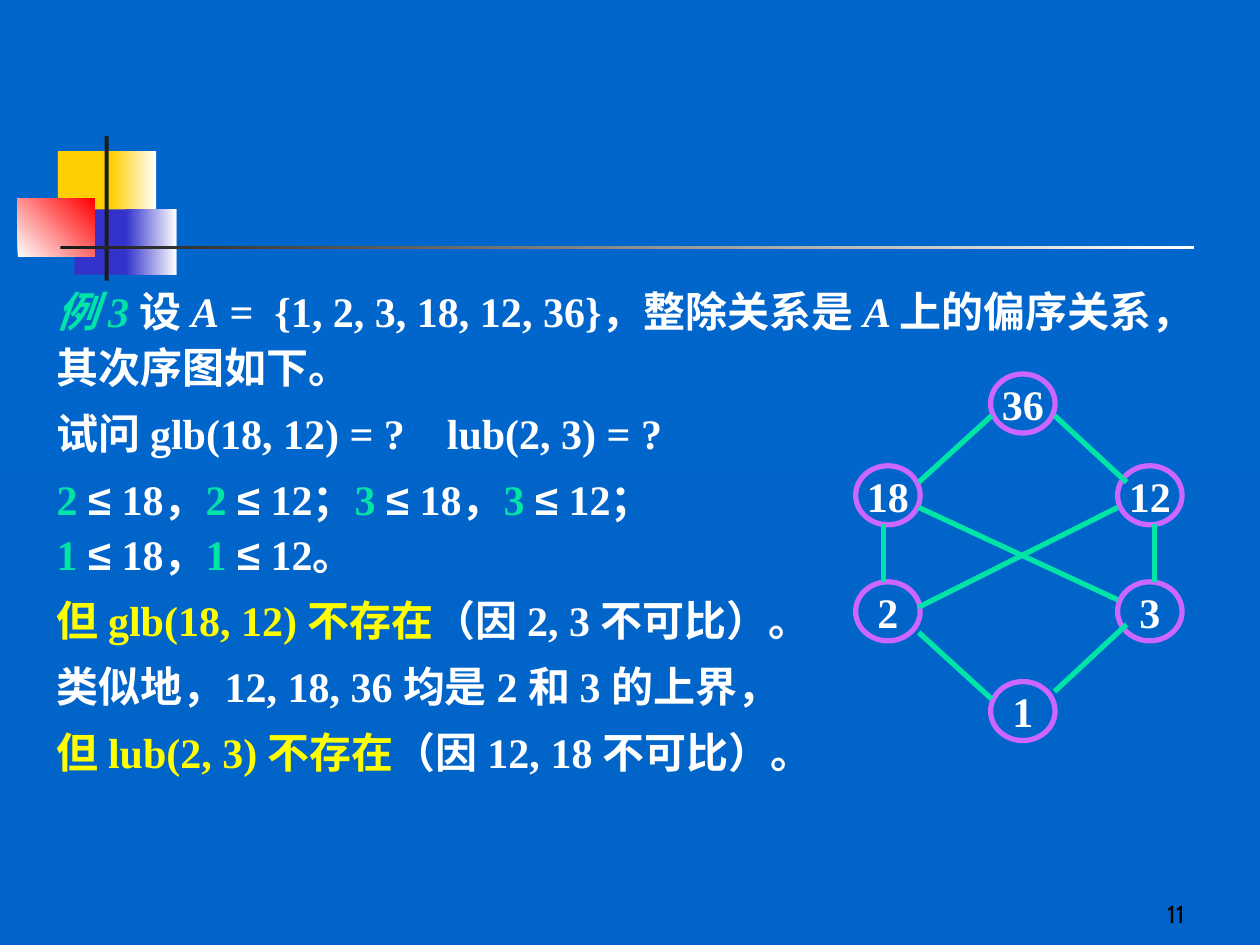
from lxml import etree
from pptx import Presentation, util as u
from pptx.dml import color as dml
from pptx.enum import shapes, text
from pptx.oxml import ns

COLORS = {
    "sky": "0066CC", "deep": "0064C9", "yellow": "FFCF01", "blue": "3333CC",
    "red": "FF0000", "ink": "1C1C1C", "white": "FFFFFF", "black": "000000",
    "green": "00E4A8", "violet": "CC66FF", "bright": "FFFF00",
}
SERIF = {"name": "Times New Roman", "size": u.Pt(24), "bold": True}
STYLES = {
    "label": {"color": "green", "italic": True},
    "plain": {"color": "white"},
    "variable": {"color": "white", "italic": True},
    "bound": {"color": "green"},
    "sign": {"color": "white", "name": "Arial"},
    "result": {"color": "bright"},
}


def compare(bound, value, mark):
    """Return the spans of one inequality."""
    return [(f"{bound} ", "bound"), ("≤", "sign"), (f" {value}{mark}", "plain")]


PARAGRAPHS = [
    [("例 3 ", "label"), ("设 ", "plain"), ("A", "variable"),
     (" =  {1, 2, 3, 18, 12, 36}，整除关系是 ", "plain"), ("A ", "variable"),
     ("上的偏序关系，其次序图如下。", "plain")],
    [("试问 glb(18, 12) = ?\tlub(2, 3) = ?", "plain")],
    [*compare(2, 18, "，"), *compare(2, 12, "；"), *compare(3, 18, "，"),
     *compare(3, 12, "；\v"), *compare(1, 18, "，"), *compare(1, 12, "。")],
    [("但 glb(18, 12) 不存在", "result"), ("（因 2, 3 不可比）。", "plain")],
    [("类似地，12, 18, 36 均是 2 和 3 的上界，", "plain")],
    [("但 lub(2, 3) 不存在", "result"), ("（因 12, 18 不可比）。", "plain")],
]


def rgb(name):
    """Return a named colour."""
    return dml.RGBColor.from_string(COLORS[name])


def apply(target, values):
    """Set each attribute of the target."""
    for key, value in values.items():
        setattr(target, key, value)


def add_span(para, words, values):
    """Add one formatted run, with line breaks at vertical tabs."""
    for index, part in enumerate(words.split("\v")):
        if index:
            para.add_line_break()
        if part:
            span = para.add_run()
            span.text = part
            fonts = {**SERIF, **values}
            span.font.color.rgb = rgb(fonts.pop("color"))
            apply(span.font, fonts)


def paint(fill, names, angle=0):
    """Fill with one colour, or with a gradient between two."""
    if len(names) == 1:
        fill.solid()
        fill.fore_color.rgb = rgb(names[0])
        return
    fill.gradient()
    fill.gradient_angle = angle
    for stop, name, position in zip(fill.gradient_stops, names, (0, 1)):
        stop.color.rgb = rgb(name)
        stop.position = position


def add_ornament(page, left, top):
    """Draw the coloured squares and the crossing rules."""
    blocks = [
        (0.81, 0.31, 1.22, 1.32, ["yellow"], 0),
        (1.88, 0.31, 0.91, 1.32, ["yellow", "white"], 0),
        (1.14, 1.48, 1.17, 1.32, ["blue"], 0),
        (2.18, 1.48, 1.02, 1.32, ["blue", "white"], 0),
        (0, 1.27, 1.55, 1.17, ["white", "red"], 45),
        (1.75, 0, 0.08, 2.92, ["ink"], 0),
        (0.86, 2.21, 22.86, 0.08, ["ink", "white"], 0),
    ]
    for x, y, width, height, names, angle in blocks:
        block = page.shapes.add_shape(
            shapes.MSO_SHAPE.RECTANGLE, u.Cm(left + x), u.Cm(top + y),
            u.Cm(width), u.Cm(height))
        block.shadow.inherit = False
        block.line.fill.background()
        paint(block.fill, names, angle)


def add_example(page, left, top, width, height):
    """Write the worked example."""
    box = page.shapes.add_textbox(*map(u.Cm, (left, top, width, height)))
    frame = box.text_frame
    frame.word_wrap = True
    for index, spans in enumerate(PARAGRAPHS):
        para = frame.paragraphs[0] if index == 0 else frame.add_paragraph()
        apply(para, {"line_spacing": 1.1, "space_before": u.Pt(6 if index else 0)})
        if any("\t" in words for words, style in spans):
            stops = etree.SubElement(para._p.get_or_add_pPr(), ns.qn("a:tabLst"))
            etree.SubElement(stops, ns.qn("a:tab"), pos=str(u.Cm(7.87)), algn="l")
        for words, style in spans:
            add_span(para, words, STYLES[style])


def add_order_diagram(page, left, top):
    """Draw the Hasse diagram of the divisibility order."""
    middle, right = 2.72, 5.28
    nodes = {"36": (middle, 0), "18": (0, 1.85), "12": (right, 1.85),
             "2": (0, 4.19), "3": (right, 4.19), "1": (middle, 6.2)}
    edges = [
        (0.56, 3.02, 0.56, 4.19), (6.02, 3.02, 6.02, 4.19),
        (2.74, 0.84, 1.27, 2.18), (4.01, 0.84, 5.46, 2.18),
        (1.27, 5.21, 2.74, 6.55), (5.46, 5.05, 4.01, 6.4),
        (1.27, 2.69, 5.28, 4.55), (1.27, 4.7, 5.28, 2.69),
    ]
    for name, (x, y) in nodes.items():
        node = page.shapes.add_shape(
            shapes.MSO_SHAPE.OVAL, u.Cm(left + x), u.Cm(top + y),
            u.Cm(1.3), u.Cm(1.19))
        node.shadow.inherit = False
        node.fill.background()
        node.line.color.rgb = rgb("violet")
        node.line.width = u.Pt(3)
        apply(node.text_frame, {"word_wrap": False,
                                "vertical_anchor": text.MSO_ANCHOR.MIDDLE})
        para = node.text_frame.paragraphs[0]
        para.alignment = text.PP_ALIGN.CENTER
        add_span(para, name, STYLES["plain"])
    for x1, y1, x2, y2 in edges:
        edge = page.shapes.add_connector(
            shapes.MSO_CONNECTOR.STRAIGHT, u.Cm(left + x1), u.Cm(top + y1),
            u.Cm(left + x2), u.Cm(top + y2))
        edge.line.color.rgb = rgb("green")
        edge.line.width = u.Pt(3)
        etree.SubElement(edge._element.spPr, ns.qn("a:effectLst"))


def add_page_number(page, left, top, width, height):
    """Write the page number."""
    box = page.shapes.add_textbox(*map(u.Cm, (left, top, width, height)))
    apply(box.text_frame, {"word_wrap": True,
                           "vertical_anchor": text.MSO_ANCHOR.BOTTOM})
    para = box.text_frame.paragraphs[0]
    para.alignment = text.PP_ALIGN.RIGHT
    add_span(para, "11", {"name": "Cabin", "size": u.Pt(14), "bold": False,
                          "color": "black"})


def main():
    """Build the deck and save it."""
    deck = Presentation()
    apply(deck, {"slide_width": u.Cm(25.4), "slide_height": u.Cm(19.05)})
    page = deck.slides.add_slide(deck.slide_layouts.get_by_name("Blank"))
    paint(page.background.fill, ["sky", "deep"], 270)
    add_ornament(page, 0.36, 2.74)
    add_page_number(page, 18.85, 17.58, 5.28, 1.27)
    add_example(page, 0.89, 5.54, 23.8, 10.26)
    add_order_diagram(page, 17.25, 7.54)
    deck.save("out.pptx")


if __name__ == "__main__":
    main()
